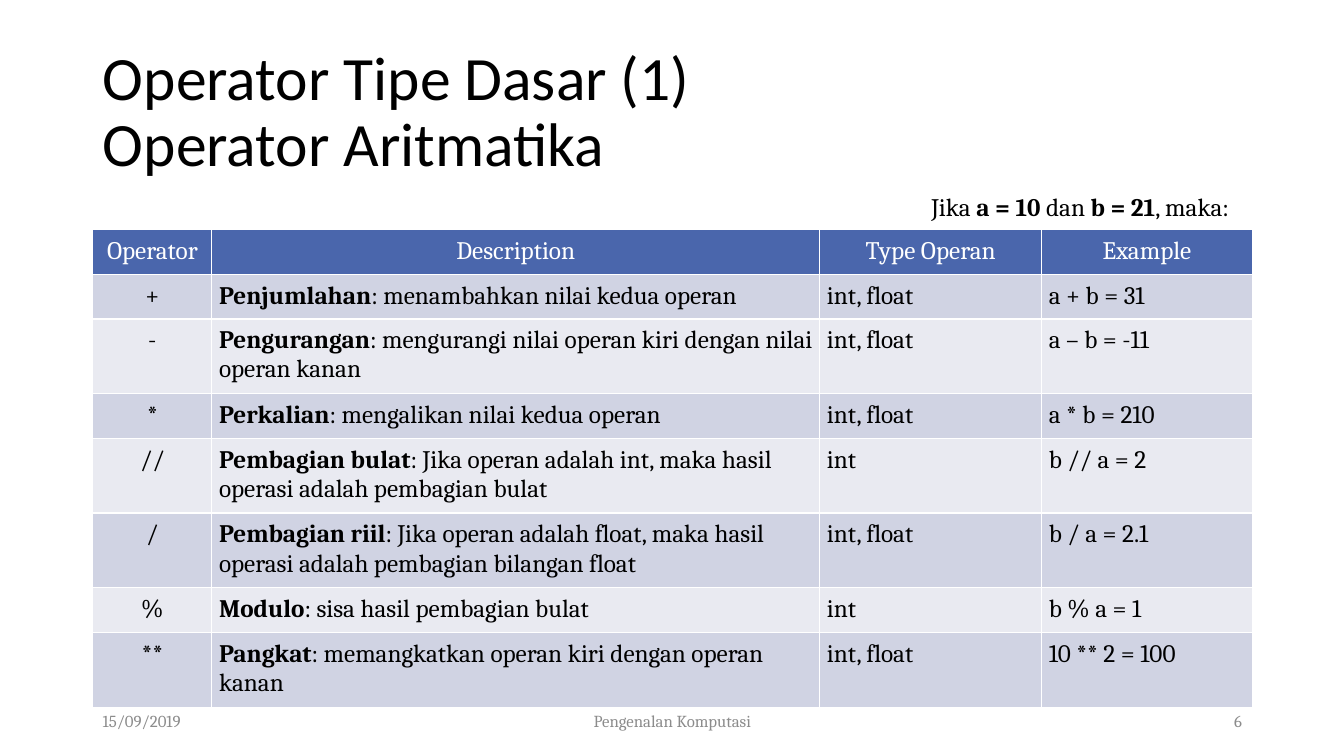
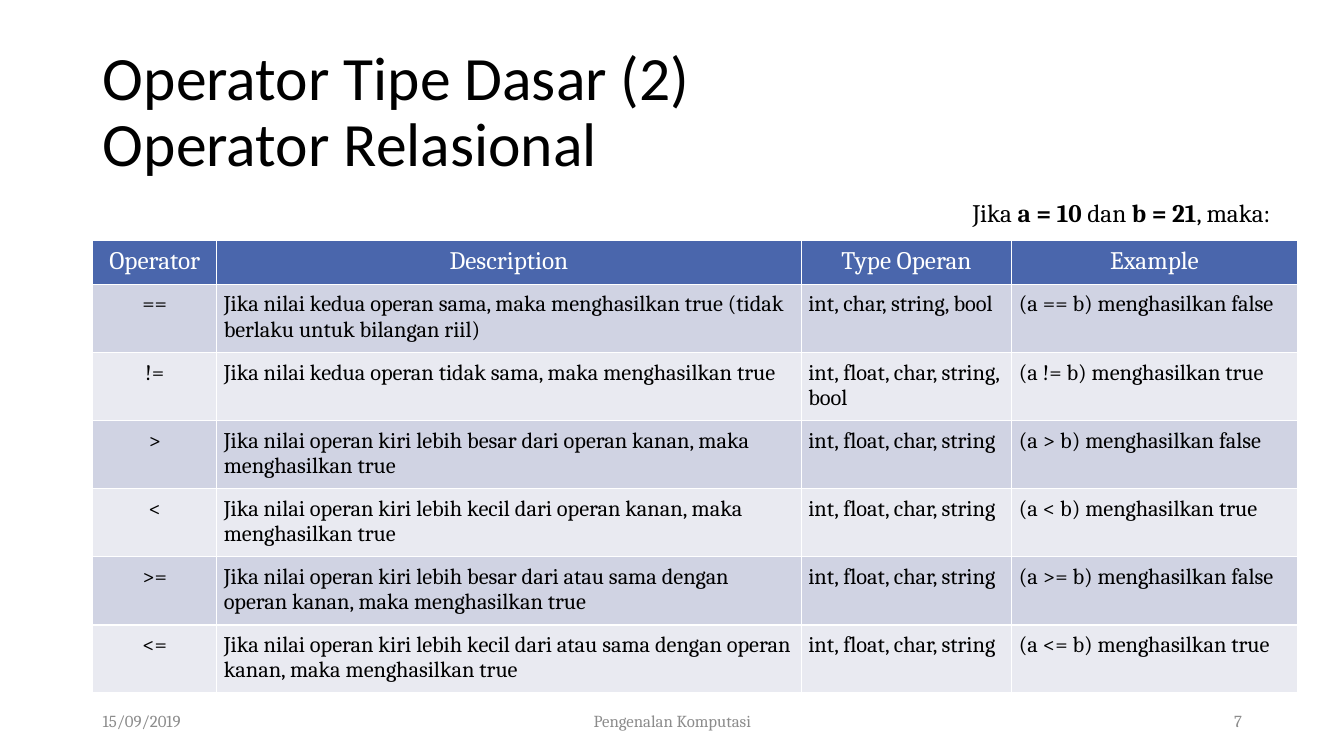
import pptx
import pptx.dml.color
import pptx.enum.text
import pptx.util

Cm = pptx.util.Cm
Pt = pptx.util.Pt
ALIGN = pptx.enum.text.PP_ALIGN
ANCHOR = pptx.enum.text.MSO_ANCHOR

BLACK, WHITE, GREY = "000000", "FFFFFF", "8C8C8C"
HEADER_FILL = "4A66AC"
BAND_FILLS = ("D0D3E3", "E9EAF1")
HEADERS = ("Operator", "Description", "Type Operan", "Example")
MARGIN, CONTENT_WIDTH = 2.34, 29.21
ROW_HEIGHT, CELL_INSET = 1.04, 0.18

TITLE_FONT = {"name": "Calibri", "size": Pt(44), "bold": False}
BODY_FONT = {"name": "Cambria", "size": Pt(18), "bold": False}
SMALL_FONT = {**BODY_FONT, "size": Pt(16)}
FOOTER_FONT = {**BODY_FONT, "size": Pt(12)}

NOTE = [("Jika ", False), ("a = 10 ", True), ("dan ", False),
        ("b = 21", True), (", maka:", False)]

ARITHMETIC = [
    ("+", "Penjumlahan", "menambahkan nilai kedua operan", "int, float", "a + b = 31"),
    ("-", "Pengurangan", "mengurangi nilai operan kiri dengan nilai operan kanan",
     "int, float", "a – b = -11"),
    ("*", "Perkalian", "mengalikan nilai kedua operan", "int, float", "a * b = 210"),
    ("//", "Pembagian bulat",
     "Jika operan adalah int, maka hasil operasi adalah pembagian bulat",
     "int", "b // a = 2"),
    ("/", "Pembagian riil",
     "Jika operan adalah float, maka hasil operasi adalah pembagian bilangan float",
     "int, float", "b / a = 2.1"),
    ("%", "Modulo", "sisa hasil pembagian bulat", "int", "b % a = 1"),
    ("**", "Pangkat", "memangkatkan operan kiri dengan operan kanan",
     "int, float", "10 ** 2 = 100"),
]

RELATIONAL = [
    ("==", "kedua operan sama, maka menghasilkan true (tidak berlaku untuk bilangan riil)",
     "int, char, string, bool", "false"),
    ("!=", "kedua operan tidak sama, maka menghasilkan true",
     "int, float, char, string, bool", "true"),
    (">", "operan kiri lebih besar dari operan kanan, maka menghasilkan true",
     "int, float, char, string", "false"),
    ("<", "operan kiri lebih kecil dari operan kanan, maka menghasilkan true",
     "int, float, char, string", "true"),
    (">=", "operan kiri lebih besar dari atau sama dengan operan kanan, maka menghasilkan true",
     "int, float, char, string", "false"),
    ("<=", "operan kiri lebih kecil dari atau sama dengan operan kanan, maka menghasilkan true",
     "int, float, char, string", "true"),
]


def rgb(value):
    return pptx.dml.color.RGBColor.from_string(value)


def set_attrs(obj, values):
    for name, value in values.items():
        setattr(obj, name, value)


def set_font(font, values, color):
    set_attrs(font, values)
    font.color.rgb = rgb(color)


def write_runs(p, runs, font, color, align=ALIGN.LEFT):
    p.alignment = align
    for text, bold in runs:
        r = p.add_run()
        r.text = text
        set_font(r.font, {**font, "bold": bold}, color)


def add_title(slide, lines):
    sp = slide.shapes.title
    set_attrs(sp, {"left": Cm(MARGIN), "top": Cm(1.02),
                   "width": Cm(CONTENT_WIDTH), "height": Cm(3.68)})
    tf = sp.text_frame
    set_attrs(tf, {"vertical_anchor": ANCHOR.MIDDLE, "word_wrap": True,
                   "auto_size": pptx.enum.text.MSO_AUTO_SIZE.NONE})
    p = tf.paragraphs[0]
    p.text = "\v".join(lines)
    set_attrs(p, {"alignment": ALIGN.LEFT, "line_spacing": 0.9})
    for r in p.runs:
        set_font(r.font, TITLE_FONT, BLACK)


def add_text(slide, left, top, width, runs, font, color,
             align=ALIGN.LEFT, anchor=ANCHOR.TOP):
    sp = slide.shapes.add_textbox(Cm(left), Cm(top), Cm(width), Cm(1.02))
    tf = sp.text_frame
    set_attrs(tf, {"word_wrap": True, "vertical_anchor": anchor})
    write_runs(tf.paragraphs[0], runs, font, color, align)


def add_footer(slide, number):
    for text, left, width, align in (
        ("15/09/2019", MARGIN, 7.62, ALIGN.LEFT),
        ("Pengenalan Komputasi", 11.23, 11.43, ALIGN.CENTER),
        (str(number), 23.93, 7.62, ALIGN.RIGHT),
    ):
        add_text(slide, left, 17.65, width, [(text, False)], FOOTER_FONT, GREY,
                 align, ANCHOR.MIDDLE)


def fill_cell(cell, runs, fill, font, color, align):
    cell.fill.solid()
    cell.fill.fore_color.rgb = rgb(fill)
    for side in ("left", "top", "right", "bottom"):
        setattr(cell, f"margin_{side}", Cm(CELL_INSET))
    write_runs(cell.text_frame.paragraphs[0], runs, font, color, align)


def add_operator_table(slide, top, widths, rows, font):
    frame = slide.shapes.add_table(
        len(rows) + 1, len(widths), Cm(MARGIN), Cm(top),
        Cm(sum(widths)), Cm(ROW_HEIGHT * (len(rows) + 1)))
    table = frame.table
    for column, width in zip(table.columns, widths):
        column.width = Cm(width)
    for row in table.rows:
        row.height = Cm(ROW_HEIGHT)
    for c, header in enumerate(HEADERS):
        fill_cell(table.cell(0, c), [(header, False)], HEADER_FILL, BODY_FONT,
                  WHITE, ALIGN.CENTER)
    for i, row in enumerate(rows):
        for c, runs in enumerate(row):
            fill_cell(table.cell(i + 1, c), runs, BAND_FILLS[i % 2], font, BLACK,
                      ALIGN.LEFT if c else ALIGN.CENTER)


def arithmetic_rows():
    return [([(op, False)], [(name, True), (f": {text}", False)],
             [(types, False)], [(example, False)])
            for op, name, text, types, example in ARITHMETIC]


def relational_rows():
    return [([(op, False)], [(f"Jika nilai {text}", False)], [(types, False)],
             [(f"(a {op} b) menghasilkan {result}", False)])
            for op, text, types, result in RELATIONAL]


def add_operator_slide(prs, number, title, table_top, widths, rows, font, note_at):
    slide = prs.slides.add_slide(prs.slide_layouts[5])
    add_title(slide, title)
    add_footer(slide, number)
    add_operator_table(slide, table_top, widths, rows, font)
    add_text(slide, *note_at, 8.64, NOTE, BODY_FONT, BLACK)


def main():
    prs = pptx.Presentation()
    set_attrs(prs, {"slide_width": Cm(33.87), "slide_height": Cm(19.05)})
    add_operator_slide(
        prs, 6, ("Operator Tipe Dasar (1)", "Operator Aritmatika"),
        5.79, (3, 15.32, 5.59, 5.31), arithmetic_rows(), BODY_FONT, (23.22, 4.7))
    add_operator_slide(
        prs, 7, ("Operator Tipe Dasar (2)", "Operator Relasional"),
        6.05, (3.12, 14.73, 5.31, 7.19), relational_rows(), SMALL_FONT, (24.26, 4.85))
    prs.save("out.pptx")


if __name__ == "__main__":
    main()
